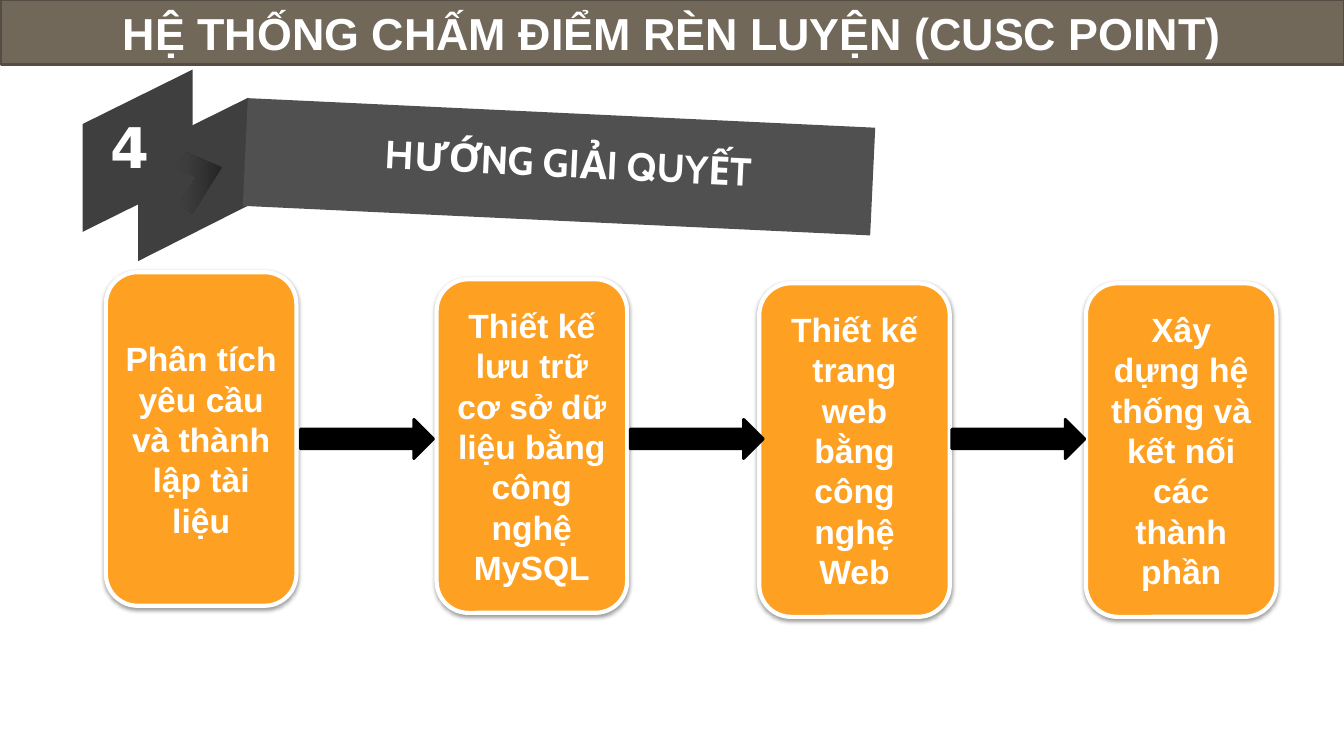
from dataclasses import dataclass

from lxml import etree
from pptx import Presentation
from pptx import oxml
from pptx import util as u
from pptx.dml.color import RGBColor
from pptx.enum import shapes, text
from pptx.oxml import ns


@dataclass(frozen=True)
class Theme:
    header: str = "71685A"
    header_edge: str = "544D43"
    ribbon: str = "505050"
    fold: str = "3F3F3F"
    step: str = "FEA022"
    arrow: str = "000000"
    light: str = "FFFFFF"
    body_font: str = "Arial"
    ribbon_font: str = "Cabin"
    number_font: str = "DejaVu Sans"
    header_size: int = 32
    ribbon_size: int = 28
    number_size: int = 40
    step_size: int = 24


@dataclass(frozen=True)
class Step:
    left: float
    top: float
    label: str


THEME = Theme()
STEP_WIDTH, STEP_HEIGHT = 1.89, 3.31
ARROW_TOP, ARROW_WIDTH, ARROW_HEIGHT = 4.16, 1.32, 0.39
STEPS = [
    Step(1.05, 2.70, "Phân tích yêu cầu và thành lập tài liệu"),
    Step(4.33, 2.77, "Thiết kế lưu trữ cơ sở dữ liệu bằng công nghệ MySQL"),
    Step(7.53, 2.81, "Thiết kế trang web bằng công nghệ Web"),
    Step(10.77, 2.81, "Xây dựng hệ thống và kết nối các thành phần"),
]
ARROW_LEFTS = [2.98, 6.25, 9.44]
FOLDS = [
    [(2.46, 2.04), (2.46, 0.97), (1.37, 1.51), (1.37, 2.59)],
    [(1.91, 1.76), (1.91, 0.69), (0.82, 1.23), (0.82, 2.30)],
]
CHEVRON = [(1.74, 1.66), (1.85, 1.51), (2.20, 1.66), (1.91, 2.12),
           (1.77, 2.03), (1.94, 1.76)]
CHEVRON_STOPS = [(0, "252525", 100), (50, "353535", 90), (100, "3F3F3F", 0)]


def rgb(code: str) -> RGBColor:
    return RGBColor.from_string(code)


def paint(shape, fill: str, edge: str = "", edge_width: float = 0) -> None:
    shape.fill.solid()
    shape.fill.fore_color.rgb = rgb(fill)
    if edge:
        shape.line.color.rgb = rgb(edge)
        shape.line.width = u.Pt(edge_width)
    else:
        shape.line.fill.background()


def write(shape, words: str, font: str, size: int, wrap: bool = True,
          align=text.PP_ALIGN.CENTER, anchor=text.MSO_ANCHOR.MIDDLE,
          spacing: float = 1.0) -> None:
    frame = shape.text_frame
    frame.text = words
    paragraph = frame.paragraphs[0]
    formats = {
        frame: {"word_wrap": wrap, "vertical_anchor": anchor,
                "auto_size": text.MSO_AUTO_SIZE.NONE},
        paragraph: {"alignment": align, "line_spacing": spacing},
        paragraph.runs[0].font: {"name": font, "size": u.Pt(size), "bold": True},
    }
    for target, values in formats.items():
        for name, value in values.items():
            setattr(target, name, value)
    paragraph.runs[0].font.color.rgb = rgb(THEME.light)


def add_preset(slide, kind, left: float, top: float, width: float, height: float):
    shape = slide.shapes.add_shape(
        kind, *(u.Inches(v) for v in (left, top, width, height)))
    shape.shadow.inherit = False
    return shape


def add_outline(slide, points: list[tuple[float, float]]):
    corners = [(u.Inches(x), u.Inches(y)) for x, y in points]
    builder = slide.shapes.build_freeform(*corners[0])
    builder.add_line_segments(corners[1:], close=True)
    shape = builder.convert_to_shape()
    shape.shadow.inherit = False
    paint(shape, THEME.fold)
    return shape


def fade(shape, stops: list[tuple[int, str, int]]) -> None:
    stop_xml = "".join(
        f'<a:gs pos="{pos * 1000}"><a:srgbClr val="{color}">'
        f'<a:alpha val="{alpha * 1000}"/></a:srgbClr></a:gs>'
        for pos, color, alpha in stops)
    gradient = oxml.parse_xml(
        f'<a:gradFill {ns.nsdecls("a")} rotWithShape="1"><a:gsLst>{stop_xml}</a:gsLst>'
        '<a:lin ang="10800000" scaled="0"/></a:gradFill>')
    properties = shape.element.spPr
    properties.replace(properties.find(ns.qn("a:solidFill")), gradient)


def drop_shadow(shape) -> None:
    effects = shape.element.spPr.find(ns.qn("a:effectLst"))
    shadow = etree.SubElement(
        effects, ns.qn("a:outerShdw"), blurRad=str(u.Pt(3.1)), dist=str(u.Pt(1.6)),
        dir="5400000", rotWithShape="0")
    color = etree.SubElement(shadow, ns.qn("a:srgbClr"), val="000000")
    etree.SubElement(color, ns.qn("a:alpha"), val="38000")


def add_header(slide) -> None:
    header = slide.shapes.title
    place = {"left": 0.01, "top": 0, "width": 13.32, "height": 0.64}
    for name, value in place.items():
        setattr(header, name, u.Inches(value))
    paint(header, THEME.header, THEME.header_edge, 2)
    write(header, "HỆ THỐNG CHẤM ĐIỂM RÈN LUYỆN (CUSC POINT)",
          THEME.body_font, THEME.header_size)


def add_ribbon(slide) -> None:
    back_fold, front_fold = FOLDS
    add_outline(slide, back_fold)
    band = add_preset(slide, shapes.MSO_SHAPE.RECTANGLE, 2.43, 1.12, 6.23, 1.07)
    band.rotation = 2.7
    paint(band, THEME.ribbon)
    add_outline(slide, front_fold)
    fade(add_outline(slide, CHEVRON), CHEVRON_STOPS)

    heading = slide.shapes.add_textbox(
        *(u.Inches(v) for v in (2.63, 1.38, 6.02, 0.53)))
    heading.rotation = 2.8
    write(heading, "HƯỚNG GIẢI QUYẾT", THEME.ribbon_font, THEME.ribbon_size,
          anchor=text.MSO_ANCHOR.TOP, spacing=0.9)
    number = slide.shapes.add_textbox(
        *(u.Inches(v) for v in (1, 1.07, 0.6, 0.77)))
    write(number, "4", THEME.number_font, THEME.number_size, wrap=False,
          align=text.PP_ALIGN.LEFT, anchor=text.MSO_ANCHOR.TOP)


def add_step(slide, step: Step) -> None:
    card = add_preset(slide, shapes.MSO_SHAPE.ROUNDED_RECTANGLE,
                      step.left, step.top, STEP_WIDTH, STEP_HEIGHT)
    paint(card, THEME.step, THEME.light, 3)
    drop_shadow(card)
    write(card, step.label, THEME.body_font, THEME.step_size)


def add_arrow(slide, left: float) -> None:
    arrow = add_preset(slide, shapes.MSO_SHAPE.RIGHT_ARROW,
                       left, ARROW_TOP, ARROW_WIDTH, ARROW_HEIGHT)
    paint(arrow, THEME.arrow, THEME.arrow, 2)


def main() -> None:
    deck = Presentation()
    deck.slide_width, deck.slide_height = u.Inches(13.33), u.Inches(7.5)
    slide = deck.slides.add_slide(deck.slide_layouts.get_by_name("Title Only"))

    # Header and numbered ribbon
    add_header(slide)
    add_ribbon(slide)

    # Four steps joined by arrows
    for step in STEPS:
        add_step(slide, step)
    for left in ARROW_LEFTS:
        add_arrow(slide, left)

    deck.save("out.pptx")


if __name__ == "__main__":
    main()
